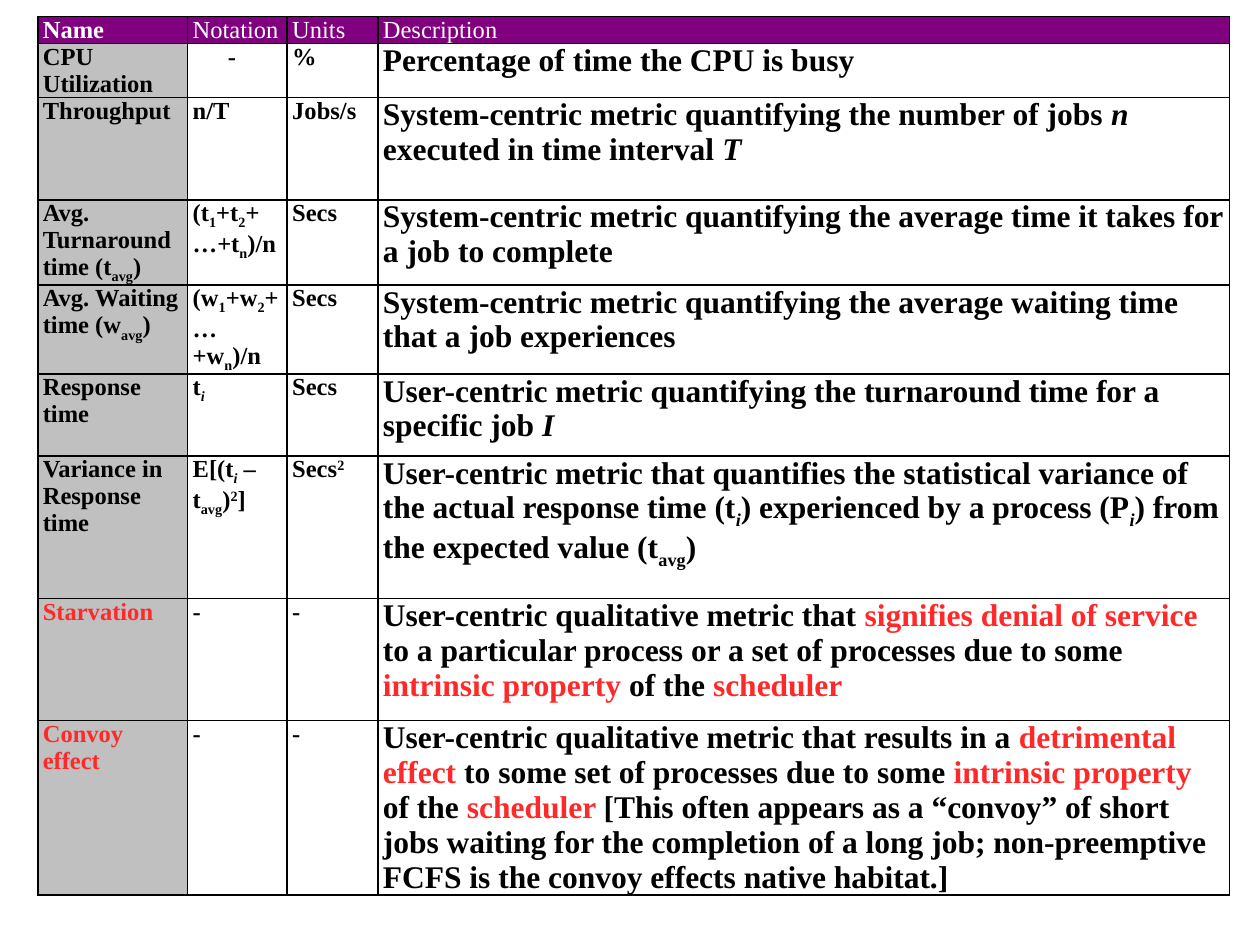
from dataclasses import dataclass
from typing import NamedTuple

import pptx
import pptx.dml.color
import pptx.oxml
import pptx.oxml.ns
import pptx.util


@dataclass(frozen=True)
class Theme:
    font: str = "Times New Roman"
    label_size: int = 14
    description_size: int = 18
    border_width: int = 1
    ink: str = "000000"
    accent: str = "FF2929"
    paper: str = "FFFFFF"
    header: str = "800080"
    name_column: str = "C0C0C0"


class Span(NamedTuple):
    text: str
    color: str = ""
    italic: bool = False
    baseline: int = 0


class Metric(NamedTuple):
    height: float
    name: list[Span]
    notation: list[Span]
    units: list[Span]
    description: list[Span]


THEME = Theme()
SLIDE_WIDTH, SLIDE_HEIGHT = 10, 7.5
LEFT, TOP = 0.03 * SLIDE_WIDTH, 0.13
COLUMN_WIDTHS = [1.19, 0.79, 0.72, 6.76]
HEADER_HEIGHT = 0.16
CELL_INSET = 0.04
DASH_INDENT = 0.28


def plain(text: str) -> Span:
    return Span(text)


def red(text: str) -> Span:
    return Span(text, color=THEME.accent)


def italic(text: str) -> Span:
    return Span(text, italic=True)


def sub(text: str, slanted: bool = False) -> Span:
    return Span(text, italic=slanted, baseline=-25)


AVG, SUB_I, SQUARED = sub("avg"), sub("i", slanted=True), Span("2", baseline=30)
DASH, SECS = [plain("-")], [plain("Secs")]


def mean_of(symbol: str, gap: str) -> list[Span]:
    """Notation for the mean of n terms of one symbol."""
    return [plain(f"({symbol}"), sub("1"), plain(f"+{symbol}"), sub("2"),
            plain(f"+{gap}…+{symbol}"), sub("n"), plain(")/n")]


HEADINGS = ["Name", "Notation", "Units", "Description"]
METRICS = [
    Metric(0.32, [plain("CPU Utilization")], DASH, [plain("%")],
           [plain("Percentage of time the CPU is busy")]),
    Metric(0.81, [plain("Throughput")], [plain("n/T")], [plain("Jobs/s")],
           [plain("System-centric metric quantifying the number of jobs "), italic("n"),
            plain(" executed in time interval "), italic("T")]),
    Metric(0.65, [plain("Avg. Turnaround time (t"), AVG, plain(")")], mean_of("t", ""), SECS,
           [plain("System-centric metric quantifying the average time it takes for "
                  "a job to complete")]),
    Metric(0.65, [plain("Avg. Waiting time (w"), AVG, plain(")")], mean_of("w", " "), SECS,
           [plain("System-centric metric quantifying the average waiting time "
                  "that a job experiences")]),
    Metric(0.65, [plain("Response time")], [plain("t"), SUB_I], SECS,
           [plain("User-centric metric quantifying the turnaround time for a specific job "),
            italic("I")]),
    Metric(1.13, [plain("Variance in Response time")],
           [plain("E[(t"), SUB_I, plain(" –t"), AVG, plain(")"), SQUARED, plain("]")],
           [plain("Secs"), SQUARED],
           [plain("User-centric metric that quantifies the statistical variance of "
                  "the actual response time (t"), SUB_I,
            plain(") experienced by a process (P"), SUB_I,
            plain(") from the expected value (t"), AVG, plain(")")]),
    Metric(0.97, [red("Starvation")], DASH, DASH,
           [plain("User-centric qualitative metric that "), red("signifies denial of service "),
            plain("to a particular process or a set of processes due to some "),
            red("intrinsic property "), plain("of the "), red("scheduler")]),
    Metric(1.29, [red("Convoy effect")], DASH, DASH,
           [plain("User-centric qualitative metric that results in a "),
            red("detrimental effect "), plain("to some set of processes due to some "),
            red("intrinsic property "), plain("of the "), red("scheduler "),
            plain("[This often appears as a “convoy” of short jobs waiting for the completion "
                  "of a long job; non-preemptive FCFS is the convoy effects native habitat.]")]),
]


def rgb(value: str) -> pptx.dml.color.RGBColor:
    return pptx.dml.color.RGBColor.from_string(value)


def draw_borders(cell) -> None:
    """Outline all four sides; border lines precede the fill in the schema."""
    properties = cell._tc.get_or_add_tcPr()
    namespace = pptx.oxml.ns.nsdecls("a")
    width = pptx.util.Pt(THEME.border_width)
    for position, side in enumerate(("lnL", "lnR", "lnT", "lnB")):
        properties.insert(position, pptx.oxml.parse_xml(
            f'<a:{side} {namespace} w="{width}"><a:solidFill>'
            f'<a:srgbClr val="{THEME.ink}"/></a:solidFill></a:{side}>'))


def write_cell(cell, spans: list[Span], fill: str, size: int,
               color: str = THEME.ink, bold: bool = True) -> None:
    cell.margin_left = cell.margin_right = pptx.util.Inches(CELL_INSET)
    cell.margin_top = cell.margin_bottom = 0
    cell.fill.solid()
    cell.fill.fore_color.rgb = rgb(fill)
    draw_borders(cell)

    paragraph = cell.text_frame.paragraphs[0]
    paragraph.font.name = THEME.font
    paragraph.font.size = pptx.util.Pt(size)
    paragraph.font.bold = bold
    paragraph.font.color.rgb = rgb(color)
    for span in spans:
        run = paragraph.add_run()
        run.text = span.text
        if span.color:
            run.font.color.rgb = rgb(span.color)
        if span.italic:
            run.font.italic = True
        if span.baseline:
            run._r.get_or_add_rPr().set("baseline", str(span.baseline * 1000))


def draw_metrics_table(slide) -> None:
    heights = [HEADER_HEIGHT] + [metric.height for metric in METRICS]
    table = slide.shapes.add_table(
        len(heights), len(COLUMN_WIDTHS), pptx.util.Inches(LEFT), pptx.util.Inches(TOP),
        pptx.util.Inches(sum(COLUMN_WIDTHS)), pptx.util.Inches(sum(heights))).table
    table.first_row = table.horz_banding = False
    for column, width in zip(table.columns, COLUMN_WIDTHS):
        column.width = pptx.util.Inches(width)
    for row, height in zip(table.rows, heights):
        row.height = pptx.util.Inches(height)

    # Header row: only the first heading is bold
    for column, heading in enumerate(HEADINGS):
        write_cell(table.cell(0, column), [plain(heading)], THEME.header,
                   THEME.label_size, THEME.paper, bold=column == 0)

    # One row per metric, with larger type in the description
    for row, metric in enumerate(METRICS, start=1):
        write_cell(table.cell(row, 0), metric.name, THEME.name_column, THEME.label_size)
        write_cell(table.cell(row, 1), metric.notation, THEME.paper, THEME.label_size)
        write_cell(table.cell(row, 2), metric.units, THEME.paper, THEME.label_size)
        write_cell(table.cell(row, 3), metric.description, THEME.paper, THEME.description_size)

    # The dash for CPU utilization is indented
    dash = table.cell(1, 1).text_frame.paragraphs[0]
    dash._p.get_or_add_pPr().set("marL", str(pptx.util.Inches(DASH_INDENT)))


def main() -> None:
    presentation = pptx.Presentation()
    presentation.slide_width = pptx.util.Inches(SLIDE_WIDTH)
    presentation.slide_height = pptx.util.Inches(SLIDE_HEIGHT)
    slide = presentation.slides.add_slide(presentation.slide_layouts[6])
    draw_metrics_table(slide)
    presentation.save("out.pptx")


if __name__ == "__main__":
    main()
